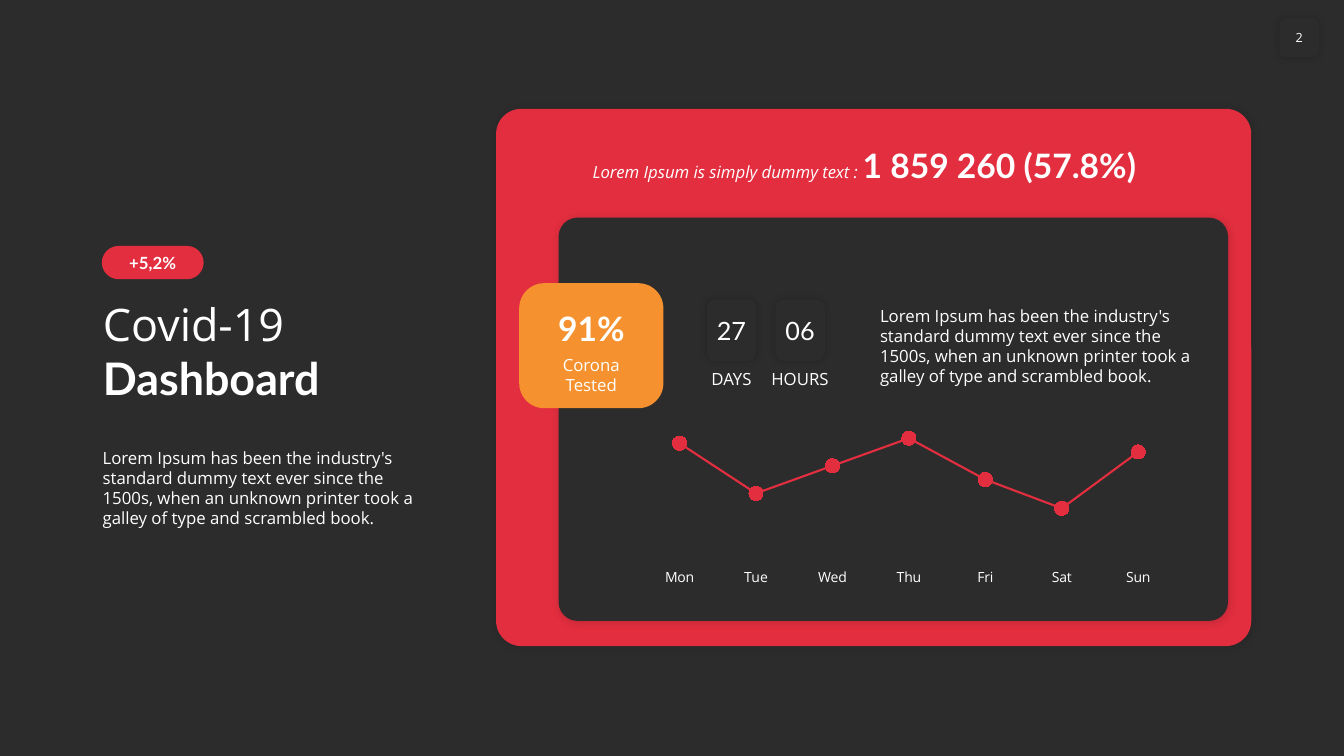
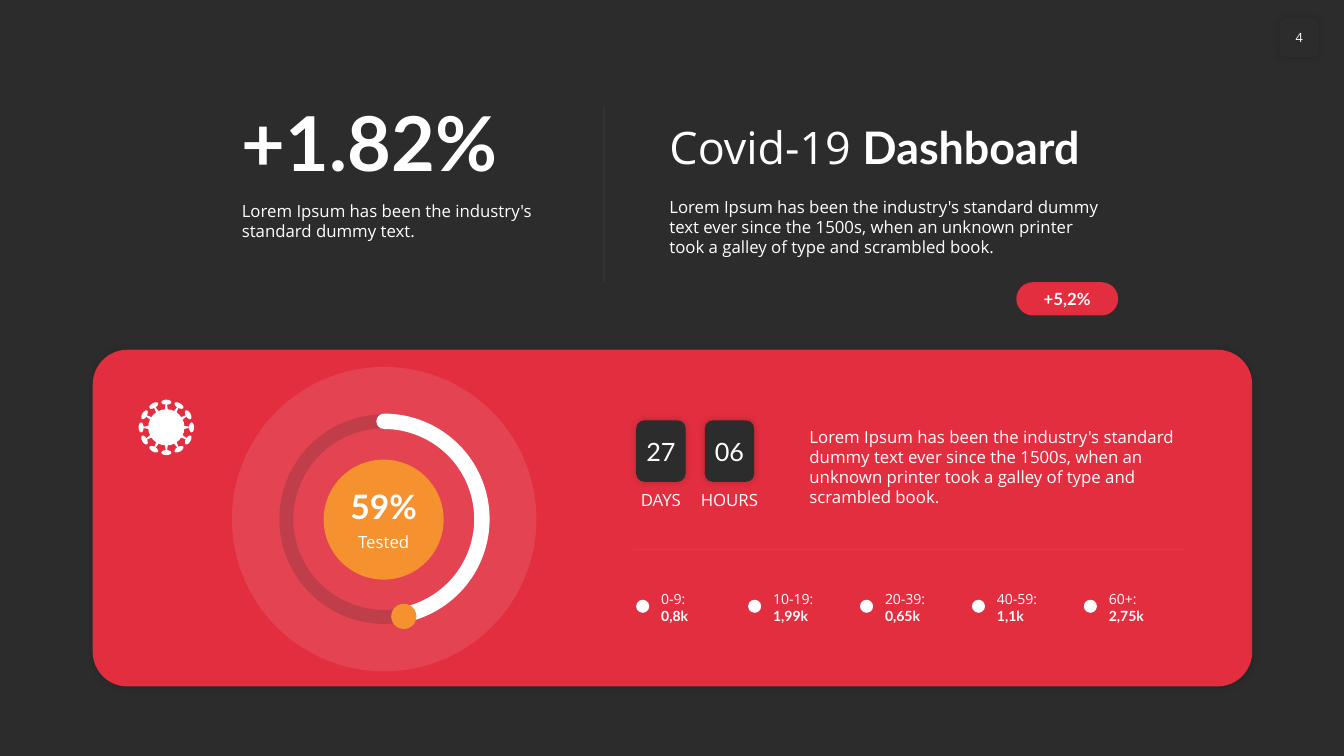
from math import cos, radians, sin

from lxml.etree import SubElement
from pptx import Presentation
from pptx.chart.data import CategoryChartData
from pptx.dml.color import RGBColor
from pptx.enum.chart import XL_CHART_TYPE as ChartType
from pptx.enum.chart import XL_MARKER_STYLE as Marker
from pptx.enum.chart import XL_TICK_MARK as TickMark
from pptx.enum.shapes import MSO_CONNECTOR as Connector
from pptx.enum.shapes import MSO_SHAPE as Shape
from pptx.enum.text import MSO_ANCHOR as Anchor
from pptx.enum.text import MSO_AUTO_SIZE as AutoSize
from pptx.enum.text import PP_ALIGN as Align
from pptx.oxml.ns import qn
from pptx.util import Inches, Pt

COLORS = {"dark": "2C2C2C", "red": "E22E3F", "orange": "F5922F", "white": "FFFFFF", "black": "000000"}
BODY_FONT = "Open Sans"
BOLD_FONT = "Lato"
PANEL_SHADOW = {"alpha": 15, "blur": 6, "distance": 1}
CARD_SHADOW = {"alpha": 20, "blur": 5, "distance": 0}
CARD_INSETS = (0, 0.05, 0, 0.05)
LABEL_INSETS = (0.04, 0.05, 0.04, 0.05)
STRONG = {"font": BOLD_FONT, "bold": True}
SHORT_TEXT = "Lorem Ipsum has been the industry's standard dummy text."
LONG_TEXT = (
    "Lorem Ipsum has been the industry's standard dummy text ever since the 1500s, "
    "when an unknown printer took a galley of type and scrambled book."
)


def rgb(name):
    return RGBColor.from_string(COLORS[name])


def place(box, left, top, width, height):
    return box[0] + left, box[1] + top, width, height


def to_inches(box):
    return [Inches(value) for value in box]


def write_text(shape, lines, size=12, font=BODY_FONT, bold=False, italic=False, align=Align.LEFT,
               anchor=Anchor.TOP, insets=(0.1, 0.05, 0.1, 0.05), wrap=True):
    frame = shape.text_frame
    frame.auto_size = AutoSize.NONE
    frame.word_wrap = wrap
    frame.vertical_anchor = anchor
    frame.margin_left, frame.margin_top, frame.margin_right, frame.margin_bottom = to_inches(insets)
    lines = [[(lines, {})]] if isinstance(lines, str) else lines
    for index, spans in enumerate(lines):
        para = frame.add_paragraph() if index else frame.paragraphs[0]
        para.alignment = align
        for text, changes in spans:
            look = {"size": size, "font": font, "bold": bold, "italic": italic, **changes}
            span = para.add_run()
            span.text = text
            span.font.size = Pt(look["size"])
            span.font.name = look["font"]
            span.font.bold = look["bold"]
            span.font.italic = look["italic"]
            span.font.color.rgb = rgb("white")


def add_text(page, box, lines, **look):
    write_text(page.shapes.add_textbox(*to_inches(box)), lines, **look)


def set_alpha(fill_owner, percent):
    for color in fill_owner.iter(qn("a:srgbClr")):
        SubElement(color, qn("a:alpha")).set("val", str(percent * 1000))


def add_shadow(shape, alpha, blur, distance):
    effects = shape._element.spPr.find(qn("a:effectLst"))
    shadow = SubElement(effects, qn("a:outerShdw"))
    shadow.set("blurRad", str(Pt(blur)))
    shadow.set("dist", str(Pt(distance)))
    shadow.set("dir", str(45 * 60000))
    shadow.set("algn", "ctr")
    shadow.set("rotWithShape", "0")
    SubElement(shadow, qn("a:srgbClr")).set("val", COLORS["black"])
    set_alpha(shadow, alpha)


def add_figure(page, kind, box, fill=None, line=None, weight=1, alpha=None, adjust=(), shadow=None, rotation=0):
    shape = page.shapes.add_shape(kind, *to_inches(box))
    shape.shadow.inherit = False
    shape.rotation = rotation
    for index, value in enumerate(adjust):
        shape.adjustments[index] = value
    if fill:
        shape.fill.solid()
        shape.fill.fore_color.rgb = rgb(fill)
    else:
        shape.fill.background()
    if line:
        shape.line.color.rgb = rgb(line)
        shape.line.width = Pt(weight)
    else:
        shape.line.fill.background()
    if alpha:
        set_alpha(shape._element.spPr, alpha)
    if shadow:
        add_shadow(shape, **shadow)
    return shape


def add_rule(page, start, end):
    rule = page.shapes.add_connector(Connector.STRAIGHT, *to_inches(start + end))
    rule.line.color.rgb = rgb("white")
    rule.line.width = Pt(0.5)
    set_alpha(rule._element.spPr, 10)
    SubElement(rule._element.spPr, qn("a:effectLst"))


def add_panel(page, box, fill, corner):
    add_figure(page, Shape.ROUNDED_RECTANGLE, box, fill, adjust=[corner], shadow=PANEL_SHADOW)


def add_card(page, box, text, **look):
    card = add_figure(page, Shape.ROUNDED_RECTANGLE, box, "dark", shadow=CARD_SHADOW)
    write_text(card, text, align=Align.CENTER, anchor=Anchor.MIDDLE, insets=CARD_INSETS, **look)


def add_badge(page, left, top):
    badge = add_figure(page, Shape.ROUNDED_RECTANGLE, (left, top, 1.01, 0.33), "red", adjust=[0.5])
    write_text(badge, "+5,2%", align=Align.CENTER, anchor=Anchor.MIDDLE, insets=(0, 0, 0, 0), **STRONG)


def add_countdown(page, left, top):
    for index, (value, unit) in enumerate([("27", "DAYS"), ("06", "HOURS")]):
        card = (left + 0.68 * index, top, 0.49, 0.61)
        add_card(page, card, value, size=18, font=BOLD_FONT)
        add_text(page, place(card, -0.09, 0.64, 0.67, 0.3), unit, align=Align.CENTER, insets=LABEL_INSETS)


def add_page(deck, number, title_box):
    page = deck.slides.add_slide(deck.slide_layouts[5])
    title = page.shapes.title
    title.left, title.top, title.width, title.height = to_inches(title_box)
    write_text(title, [[("Covid-19 ", {}), ("Dashboard", STRONG)]], size=32, anchor=Anchor.BOTTOM)
    add_card(page, (12.69, 0.18, 0.39, 0.39), str(number), size=9, wrap=False)
    return page


def add_week_chart(page, box):
    data = CategoryChartData()
    data.categories = ["Mon", "Tue", "Wed", "Thu", "Fri", "Sat", "Sun"]
    data.add_series("Series 1", [96, 56, 78, 100, 67, 44, 89])
    chart = page.shapes.add_chart(ChartType.LINE_MARKERS_STACKED, *to_inches(box), data).chart
    chart.has_legend = False
    chart.has_title = False
    chart.font.size = Pt(12)
    chart.font.name = BODY_FONT
    chart.font.color.rgb = rgb("white")
    days, values = chart.category_axis, chart.value_axis
    days.major_tick_mark = TickMark.NONE
    days.format.line.fill.background()
    days.tick_labels.font.size = Pt(10)
    days.tick_labels.font.name = BODY_FONT
    days.tick_labels.font.color.rgb = rgb("white")
    values.minimum_scale, values.maximum_scale = 0, 100
    values.has_major_gridlines = False
    values.visible = False
    plot = chart.plots[0]
    plot.vary_by_categories = False
    series = plot.series[0]
    series.smooth = False
    series.format.line.color.rgb = rgb("red")
    series.format.line.width = Pt(1.5)
    series.marker.style = Marker.CIRCLE
    series.marker.size = 10
    series.marker.format.fill.solid()
    series.marker.format.fill.fore_color.rgb = rgb("red")
    series.marker.format.line.color.rgb = rgb("red")
    set_plot_area(chart, x=0.02, y=0.1, w=0.96, h=0.74)


def set_plot_area(chart, **fractions):
    area = chart._chartSpace.chart.plotArea
    layout = area.find(qn("c:layout"))
    if layout is None:
        layout = SubElement(area, qn("c:layout"))
        area.insert(0, layout)
    manual = SubElement(layout, qn("c:manualLayout"))
    settings = {"layoutTarget": "inner", "xMode": "edge", "yMode": "edge", **fractions}
    for name, value in settings.items():
        SubElement(manual, qn("c:" + name)).set("val", str(value))


def add_tested_tile(page, box):
    add_figure(page, Shape.ROUNDED_RECTANGLE, box, "orange", adjust=[0.2])
    add_text(page, place(box, 0.1, 0.19, 1.23, 0.5), "91%", size=24,
             align=Align.CENTER, anchor=Anchor.BOTTOM, **STRONG)
    add_text(page, place(box, 0.1, 0.66, 1.23, 0.5), "Corona Tested", align=Align.CENTER)


def add_week_panel(page, box):
    add_panel(page, box, "red", 0.047)
    add_panel(page, place(box, 0.62, 1.08, 6.64, 4), "dark", 0.047)
    headline = [[("Lorem Ipsum is simply dummy text : ", {"italic": True}),
                 ("1 859 260 (57.8%)", {"size": 24, **STRONG})]]
    add_text(page, place(box, 0.86, 0.31, 6, 0.5), headline)
    add_tested_tile(page, place(box, 0.23, 1.73, 1.43, 1.24))
    add_countdown(page, box[0] + 2.09, box[1] + 1.89)
    add_text(page, place(box, 3.71, 1.9, 3.36, 0.91), LONG_TEXT)
    add_week_chart(page, place(box, 1.33, 3.1, 5.53, 1.68))


def add_virus_icon(page, center_x, center_y):
    icon = page.shapes.add_group_shape()

    def add_part(kind, radius, angle, width, height, adjust=()):
        x = center_x + radius * sin(radians(angle))
        y = center_y - radius * cos(radians(angle))
        box = (x - width / 2, y - height / 2, width, height)
        add_figure(group_page, kind, box, "white", adjust=adjust, rotation=angle)

    group_page = icon_page(icon)
    add_part(Shape.OVAL, 0, 0, 0.36, 0.36)
    for angle in range(0, 360, 30):
        add_part(Shape.OVAL, 0.25, angle, 0.1, 0.05)
        add_part(Shape.TRAPEZOID, 0.2, angle, 0.03, 0.06, [0.27])


def icon_page(group):
    return group


def add_tested_dial(page, box):
    ring = place(box, 0.54, 0.54, 1.94, 1.94)
    core = place(box, 0.91, 0.92, 1.19, 1.19)
    add_figure(page, Shape.OVAL, box, "white", alpha=10)
    add_figure(page, Shape.OVAL, core, "orange")
    add_figure(page, Shape.OVAL, ring, line="dark", weight=10, alpha=20)
    arc = add_figure(page, Shape.ARC, ring, line="white", weight=11, adjust=[162, 44.96])
    arc._element.spPr.find(qn("a:ln")).set("cap", "rnd")
    add_figure(page, Shape.OVAL, place(box, 1.58, 2.35, 0.25, 0.25), "orange")
    add_text(page, place(core, 0, 0.21, 1.19, 0.5), "59%", size=24,
             align=Align.CENTER, anchor=Anchor.BOTTOM, **STRONG)
    add_text(page, place(core, 0, 0.67, 1.19, 0.3), "Tested", align=Align.CENTER)


def add_age_groups(page, left, top):
    groups = [("0-9:", "0,8k"), ("10-19:", "1,99k"), ("20-39:", "0,65k"), ("40-59:", "1,1k"), ("60+:", "2,75k")]
    for index, (ages, count) in enumerate(groups):
        box = (left + 1.11 * index, top, 0.95, 0.44)
        add_figure(page, Shape.OVAL, place(box, 0, 0.14, 0.13, 0.13), "white")
        add_text(page, place(box, 0.15, 0, 0.8, 0.44), [[(ages, {})], [(count, STRONG)]],
                 size=10, anchor=Anchor.MIDDLE)


def add_tested_panel(page, box):
    left, top = box[:2]
    add_panel(page, box, "red", 0.103)
    add_tested_dial(page, place(box, 1.38, 0.17, 3.02, 3.02))
    add_virus_icon(page, left + 0.73, top + 0.77)
    add_countdown(page, left + 5.39, top + 0.7)
    add_text(page, place(box, 7.01, 0.71, 3.82, 0.91), LONG_TEXT)
    add_rule(page, (left + 5.37, top + 1.98), (left + 10.84, top + 1.98))
    add_age_groups(page, left + 5.39, top + 2.34)


def build_week_page(deck):
    page = add_page(deck, 2, (0.92, 2.88, 3.36, 1.18))
    add_badge(page, 1.01, 2.44)
    add_text(page, (0.92, 4.39, 3.36, 0.91), LONG_TEXT)
    add_week_panel(page, (4.92, 1.08, 7.49, 5.33))


def build_tested_page(deck):
    page = add_page(deck, 4, (6.54, 1.13, 4.55, 0.64))
    add_text(page, (2.3, 0.89, 3.36, 1.01), "+1.82%", size=54, anchor=Anchor.BOTTOM, **STRONG)
    add_text(page, (2.3, 1.94, 3.36, 0.5), SHORT_TEXT)
    add_text(page, (6.54, 1.9, 4.55, 0.71), LONG_TEXT)
    add_rule(page, (5.99, 1.06), (5.99, 2.8))
    add_badge(page, 10.08, 2.8)
    add_tested_panel(page, (0.92, 3.47, 11.5, 3.34))


def main():
    deck = Presentation()
    deck.slide_width, deck.slide_height = Inches(13.33), Inches(7.5)
    backdrop = deck.slide_master.background.fill
    backdrop.solid()
    backdrop.fore_color.rgb = rgb("dark")
    build_week_page(deck)
    build_tested_page(deck)
    deck.save("out.pptx")


if __name__ == "__main__":
    main()
